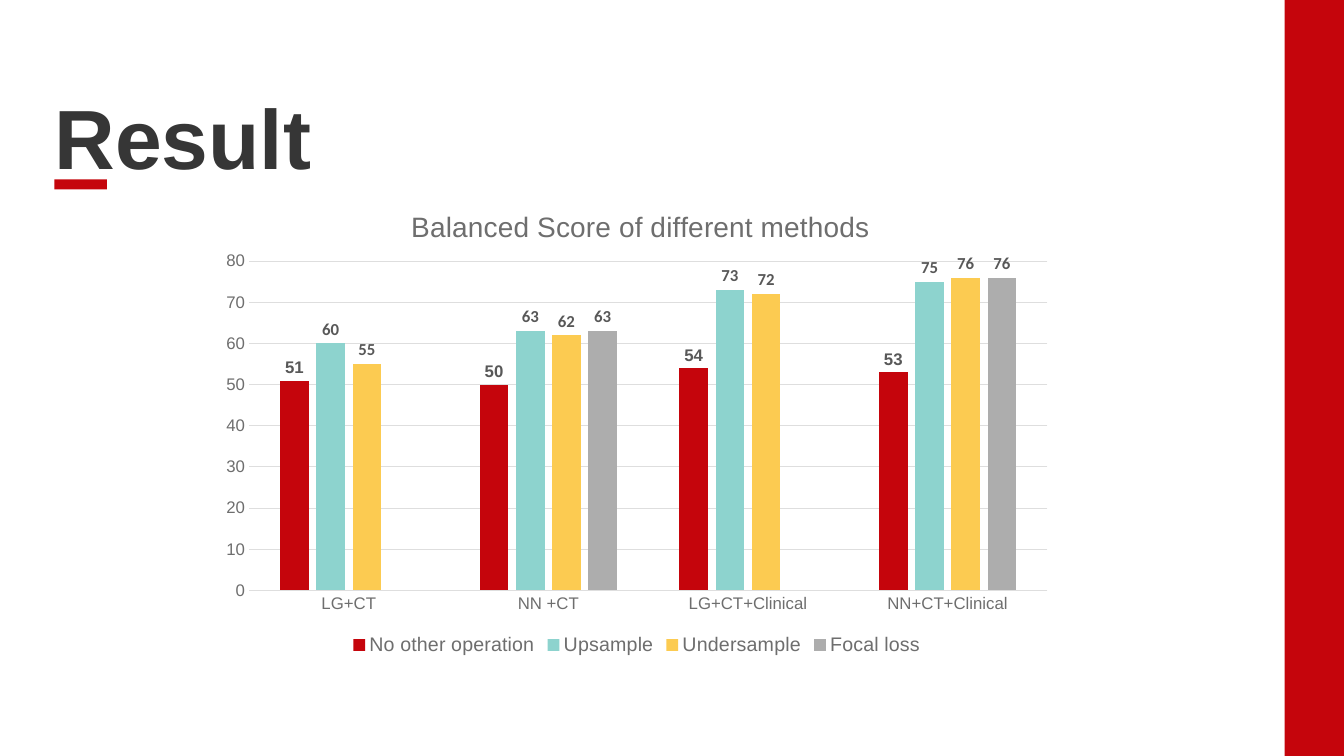
from lxml.etree import SubElement
from pptx import Presentation
from pptx.chart.data import CategoryChartData
from pptx.dml.color import RGBColor
from pptx.enum.chart import XL_CHART_TYPE, XL_LABEL_POSITION, XL_LEGEND_POSITION, XL_TICK_MARK
from pptx.enum.shapes import MSO_SHAPE
from pptx.enum.text import MSO_ANCHOR
from pptx.oxml.ns import qn
from pptx.util import Inches, Pt

RED = RGBColor(0xC5, 0x05, 0x0C)
TEAL = RGBColor(0x8D, 0xD3, 0xCE)
GOLD = RGBColor(0xFC, 0xCB, 0x51)
SILVER = RGBColor(0xAD, 0xAD, 0xAD)
DARK = RGBColor(0x36, 0x36, 0x36)
LABEL = RGBColor(0x58, 0x58, 0x58)
GRAY = RGBColor(0x6E, 0x6E, 0x6E)
GRID = RGBColor(0xDE, 0xDE, 0xDE)

METHODS = ["LG+CT", "NN +CT", "LG+CT+Clinical", "NN+CT+Clinical"]
SCORES = [
    ("No other operation", (51, 50, 54, 53), RED, "Arial"),
    ("Upsample", (60, 63, 73, 75), TEAL, "Calibri"),
    ("Undersample", (55, 62, 72, 76), GOLD, "Calibri"),
    ("Focal loss", (None, 63, None, 76), SILVER, "Calibri"),
]


class Board:
    face = "Arial"

    def __init__(self, slide):
        self.slide = slide

    def style(self, font, size, color, bold=False, face=None):
        font.name = face or self.face
        font.size = Pt(size)
        font.color.rgb = color
        font.bold = bold

    def bar(self, left, top, width, height, color):
        shape = self.slide.shapes.add_shape(
            MSO_SHAPE.RECTANGLE, Inches(left), Inches(top), Inches(width), Inches(height))
        shape.shadow.inherit = False
        shape.fill.solid()
        shape.fill.fore_color.rgb = color
        shape.line.fill.background()

    def head(self, words, left, top, width, height):
        box = self.slide.shapes.add_textbox(
            Inches(left), Inches(top), Inches(width), Inches(height))
        frame = box.text_frame
        frame.word_wrap = True
        frame.vertical_anchor = MSO_ANCHOR.TOP
        frame.margin_left = frame.margin_top = frame.margin_bottom = 0
        frame.text = words
        line = frame.paragraphs[0]
        line.line_spacing = 0.9
        self.style(line.runs[0].font, 60, DARK, True)

    def place(self, layout, **marks):
        for child in list(layout):
            layout.remove(child)
        manual = SubElement(layout, qn("c:manualLayout"))
        for tag, value in marks.items():
            SubElement(manual, qn("c:" + tag)).set("val", str(value))

    def axis(self, axis):
        axis.major_tick_mark = axis.minor_tick_mark = XL_TICK_MARK.NONE
        self.style(axis.tick_labels.font, 12, GRAY)

    def rule(self, line):
        line.color.rgb = GRID
        line.width = Pt(0.75)

    def chart(self, title, left, top, width, height):
        data = CategoryChartData()
        data.categories = METHODS
        for name, values, _, _ in SCORES:
            data.add_series(name, values)
        chart = self.slide.shapes.add_chart(
            XL_CHART_TYPE.COLUMN_CLUSTERED, Inches(left), Inches(top),
            Inches(width), Inches(height), data).chart
        self.style(chart.font, 10, GRAY)

        chart.has_title = True
        frame = chart.chart_title.text_frame
        frame.text = title
        self.style(frame.paragraphs[0].runs[0].font, 20, GRAY)
        self.place(chart.chart_title._element.get_or_add_layout()
                   if hasattr(chart.chart_title._element, "get_or_add_layout")
                   else chart.chart_title._element.find(qn("c:layout")),
                   xMode="edge", yMode="edge", x=0.23, y=0.05)

        chart.has_legend = True
        chart.legend.position = XL_LEGEND_POSITION.BOTTOM
        chart.legend.include_in_layout = False
        self.style(chart.legend.font, 14, GRAY)

        self.axis(chart.category_axis)
        self.rule(chart.category_axis.format.line)
        scale = chart.value_axis
        self.axis(scale)
        scale.minimum_scale, scale.maximum_scale, scale.major_unit = 0, 80, 10
        scale.format.line.fill.background()
        self.rule(scale.major_gridlines.format.line)

        plot = chart.plots[0]
        plot.gap_width = 219
        plot.overlap = -27
        plot.vary_by_categories = False
        for series, (_, _, color, face) in zip(plot.series, SCORES):
            series.format.fill.solid()
            series.format.fill.fore_color.rgb = color
            labels = series.data_labels
            labels.show_value = True
            labels.position = XL_LABEL_POSITION.OUTSIDE_END
            self.style(labels.font, 12, LABEL, True, face)

        area = chart._chartSpace.chart.plotArea
        layout = area.find(qn("c:layout"))
        if layout is None:
            layout = SubElement(area, qn("c:layout"))
            area.insert(0, layout)
        self.place(layout, layoutTarget="inner", xMode="edge", yMode="edge",
                   x=0.046, y=0.17, w=0.935, h=0.685)


def main():
    deck = Presentation()
    deck.slide_width = Inches(13.33)
    deck.slide_height = Inches(7.5)
    board = Board(deck.slides.add_slide(deck.slide_layouts[6]))
    board.bar(12.74, 0, 0.59, 7.5, RED)
    board.bar(0.54, 1.78, 0.52, 0.1, RED)
    board.head("Result", 0.54, 0.96, 11.67, 1.36)
    board.chart("Balanced Score of different methods", 2.08, 1.78, 8.47, 4.77)
    deck.save("out.pptx")


if __name__ == "__main__":
    main()
